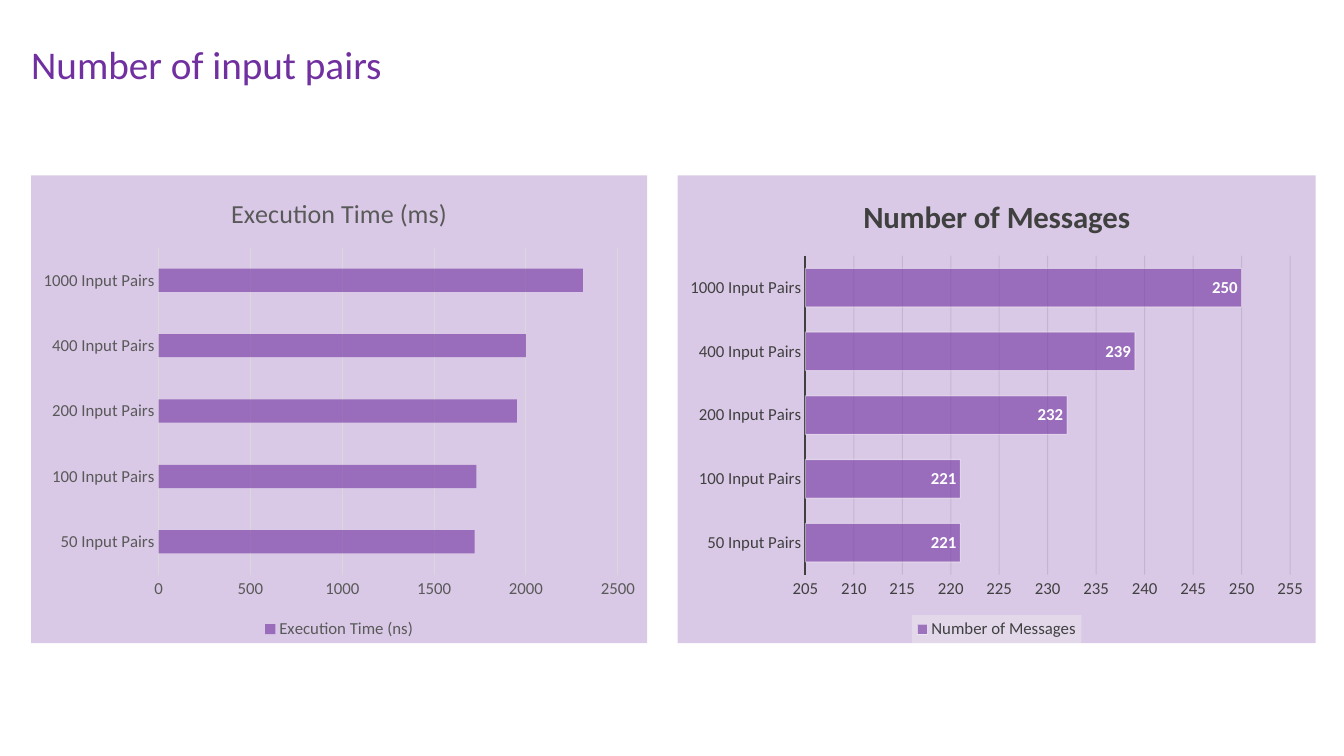
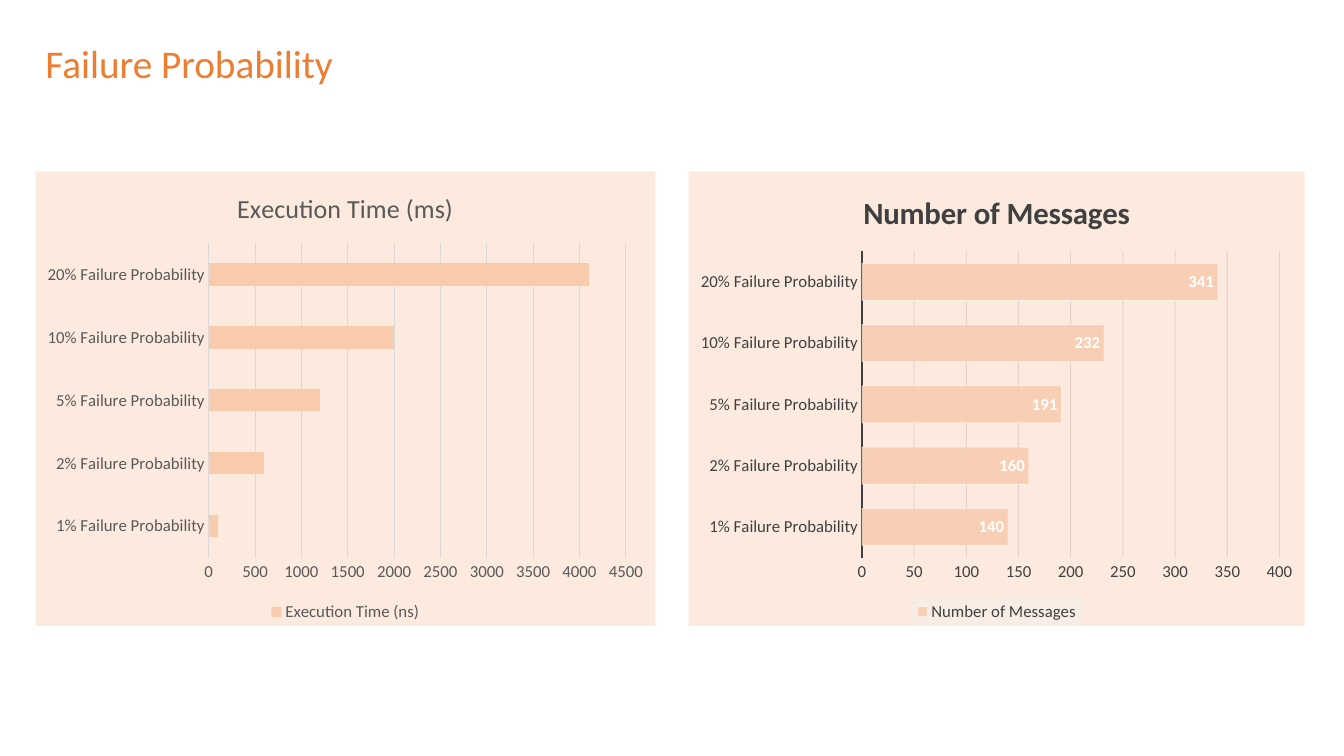
import pptx
import pptx.util
import pptx.chart.data
import pptx.dml.color
import pptx.enum.chart
import pptx.enum.text
import pptx.oxml.ns
from lxml import etree
from pptx.util import Inches

THEME = {
    "font": "Calibri",
    "white": "FFFFFF",
    "legend_fill": "F2F2F2",
    "title_size": 28,
    "label_size": 12,
}

TIME_STYLE = {
    "title": "Execution Time (ms)", "series": "Execution Time (ns)",
    "title_size": 18.6, "bold": False, "text": "595959", "gap": 182,
    "axis": ("D9D9D9", 0.75), "grid": ("D9D9D9", 100), "labels": False,
}
MESSAGE_STYLE = {
    "title": "Number of Messages", "series": "Number of Messages",
    "title_size": 22, "bold": True, "text": "404040", "gap": 65,
    "axis": ("404040", 1.5), "grid": ("0D0D0D", 10), "labels": True,
}

SLIDES = [
    {
        "title": "Number of input pairs", "title_at": (0.21, 0.35), "title_color": "7030A0",
        "categories": [f"{n} Input Pairs" for n in (50, 100, 200, 400, 1000)],
        "color": "7030A0", "panel_alpha": 26, "top": 1.74, "height": 4.64,
        "charts": [
            {"style": TIME_STYLE, "left": 0.31, "width": 6.11, "alpha": 60,
             "values": (1720, 1730, 1950, 2000, 2310), "scale": (0, 2500, 500)},
            {"style": MESSAGE_STYLE, "left": 6.72, "width": 6.33, "alpha": 60,
             "values": (221, 221, 232, 239, 250), "scale": (205, 255, 5)},
        ],
    },
    {
        "title": "Failure Probability", "title_at": (0.35, 0.34), "title_color": "ED7D31",
        "categories": [f"{n}% Failure Probability" for n in (1, 2, 5, 10, 20)],
        "color": "F8CBAD", "panel_alpha": 40, "top": 1.7, "height": 4.51,
        "charts": [
            {"style": TIME_STYLE, "left": 0.35, "width": 6.15, "alpha": 100,
             "values": (100, 600, 1200, 2000, 4100), "scale": (0, 4500, 500)},
            {"style": MESSAGE_STYLE, "left": 6.83, "width": 6.11, "alpha": 85,
             "values": (140, 160, 191, 232, 341), "scale": (0, 400, 50)},
        ],
    },
]

qn = pptx.oxml.ns.qn


def rgb(color):
    return pptx.dml.color.RGBColor.from_string(color)


def set_font(font, size, color, bold=False):
    font.name = THEME["font"]
    font.size = pptx.util.Pt(size)
    font.color.rgb = rgb(color)
    font.bold = bold


def set_alpha(color_element, percent):
    if percent < 100:
        etree.SubElement(color_element, qn("a:alpha"), val=str(percent * 1000))


def set_fill(fill, color, alpha=100):
    fill.solid()
    fill.fore_color.rgb = rgb(color)
    set_alpha(fill._xPr.find(qn("a:solidFill")).find(qn("a:srgbClr")), alpha)


def set_line(line, color, width, alpha=100):
    line.width = pptx.util.Pt(width)
    set_fill(line.fill, color, alpha)


def fill_background(parent, color, alpha):
    sp_pr = etree.Element(qn("c:spPr"))
    solid = etree.SubElement(sp_pr, qn("a:solidFill"))
    set_alpha(etree.SubElement(solid, qn("a:srgbClr"), val=color), alpha)
    etree.SubElement(etree.SubElement(sp_pr, qn("a:ln")), qn("a:noFill"))
    parent.find(qn("c:txPr")).addprevious(sp_pr)


def add_title(s, text, at, color):
    title = s.shapes.title
    title.left, title.top = (Inches(v) for v in at)
    title.width, title.height = Inches(4.85), Inches(0.57)
    tf = title.text_frame
    tf.text = text
    tf.auto_size = pptx.enum.text.MSO_AUTO_SIZE.NONE
    tf.vertical_anchor = pptx.enum.text.MSO_ANCHOR.TOP
    p = tf.paragraphs[0]
    p.alignment = pptx.enum.text.PP_ALIGN.LEFT
    set_font(p.font, THEME["title_size"], color)


def format_axes(chart, style, scale):
    category, value = chart.category_axis, chart.value_axis
    for axis in (category, value):
        axis.major_tick_mark = axis.minor_tick_mark = pptx.enum.chart.XL_TICK_MARK.NONE
        set_font(axis.tick_labels.font, THEME["label_size"], style["text"])
    category.has_major_gridlines = False
    set_line(category.format.line, *style["axis"])
    value.minimum_scale, value.maximum_scale, value.major_unit = scale
    value.format.line.fill.background()
    value.has_major_gridlines = True
    grid_color, grid_alpha = style["grid"]
    set_line(value.major_gridlines.format.line, grid_color, 0.75, grid_alpha)


def format_legend(chart, style):
    chart.has_legend = True
    legend = chart.legend
    legend.position = pptx.enum.chart.XL_LEGEND_POSITION.BOTTOM
    legend.include_in_layout = False
    set_font(legend.font, THEME["label_size"], style["text"])
    if style["labels"]:
        fill_background(legend._element, THEME["legend_fill"], 39)


def format_bars(chart, style, color, alpha):
    plot = chart.plots[0]
    plot.gap_width = style["gap"]
    plot.vary_by_categories = False
    series = plot.series[0]
    series.invert_if_negative = False
    set_fill(series.format.fill, color, alpha)
    if style["labels"]:
        set_line(series.format.line, THEME["white"], 0.75, 50)
        labels = series.data_labels
        labels.show_value = True
        labels.position = pptx.enum.chart.XL_LABEL_POSITION.INSIDE_END
        set_font(labels.font, THEME["label_size"], THEME["white"], True)


def add_bar_chart(s, slide, item):
    style = item["style"]
    data = pptx.chart.data.CategoryChartData()
    data.categories = slide["categories"]
    data.add_series(style["series"], item["values"])
    chart = s.shapes.add_chart(
        pptx.enum.chart.XL_CHART_TYPE.BAR_CLUSTERED,
        Inches(item["left"]), Inches(slide["top"]),
        Inches(item["width"]), Inches(slide["height"]), data).chart
    set_font(chart.font, 10, "000000")
    fill_background(chart._chartSpace, slide["color"], slide["panel_alpha"])
    chart.has_title = True
    tf = chart.chart_title.text_frame
    tf.text = style["title"]
    set_font(tf.paragraphs[0].font, style["title_size"], style["text"], style["bold"])
    chart.chart_title.include_in_layout = False
    format_axes(chart, style, item["scale"])
    format_legend(chart, style)
    format_bars(chart, style, slide["color"], item["alpha"])


def main():
    prs = pptx.Presentation()
    prs.slide_width, prs.slide_height = Inches(13.33), Inches(7.5)
    for slide in SLIDES:
        s = prs.slides.add_slide(prs.slide_layouts[5])
        add_title(s, slide["title"], slide["title_at"], slide["title_color"])
        for item in slide["charts"]:
            add_bar_chart(s, slide, item)
    prs.save("out.pptx")


if __name__ == "__main__":
    main()
